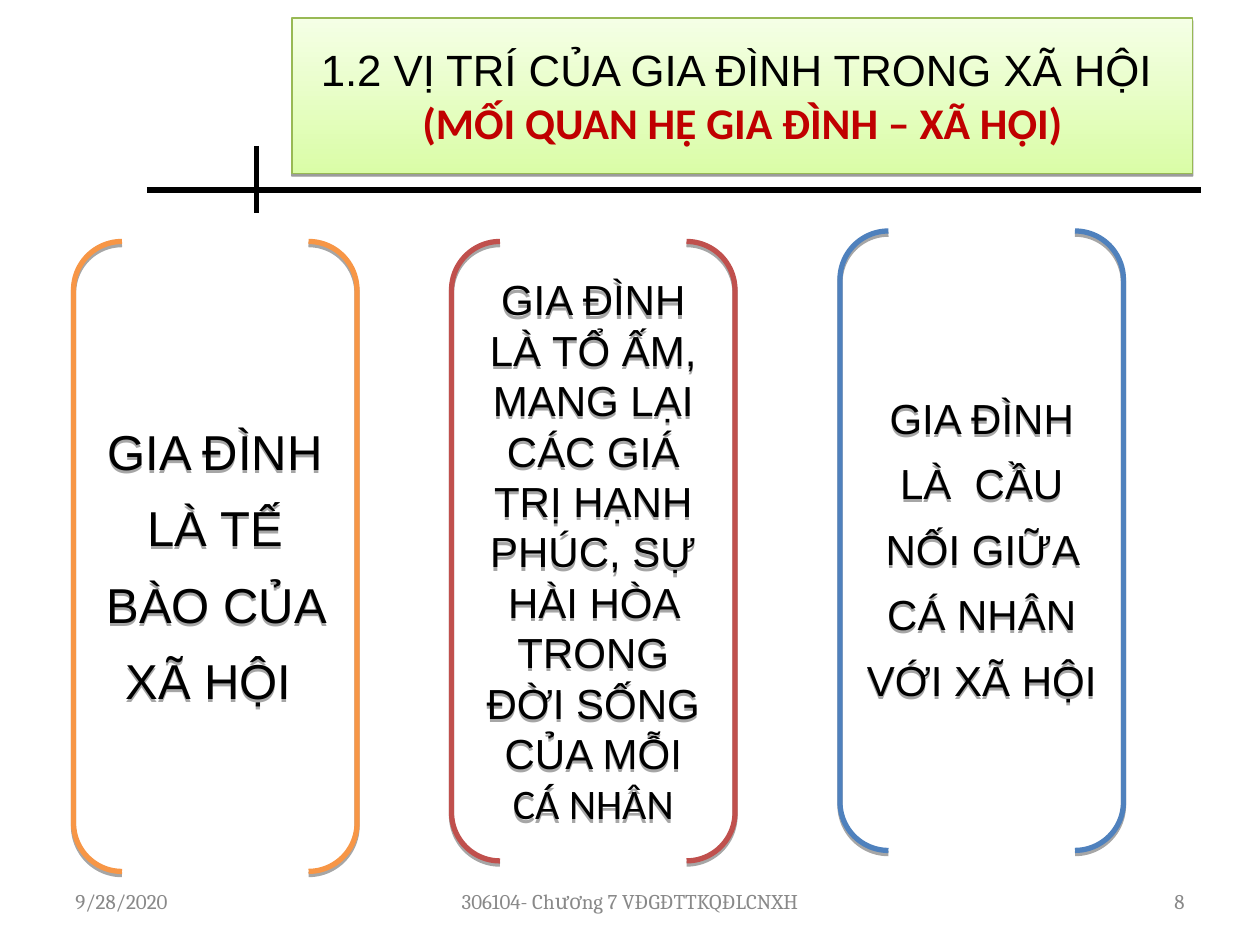
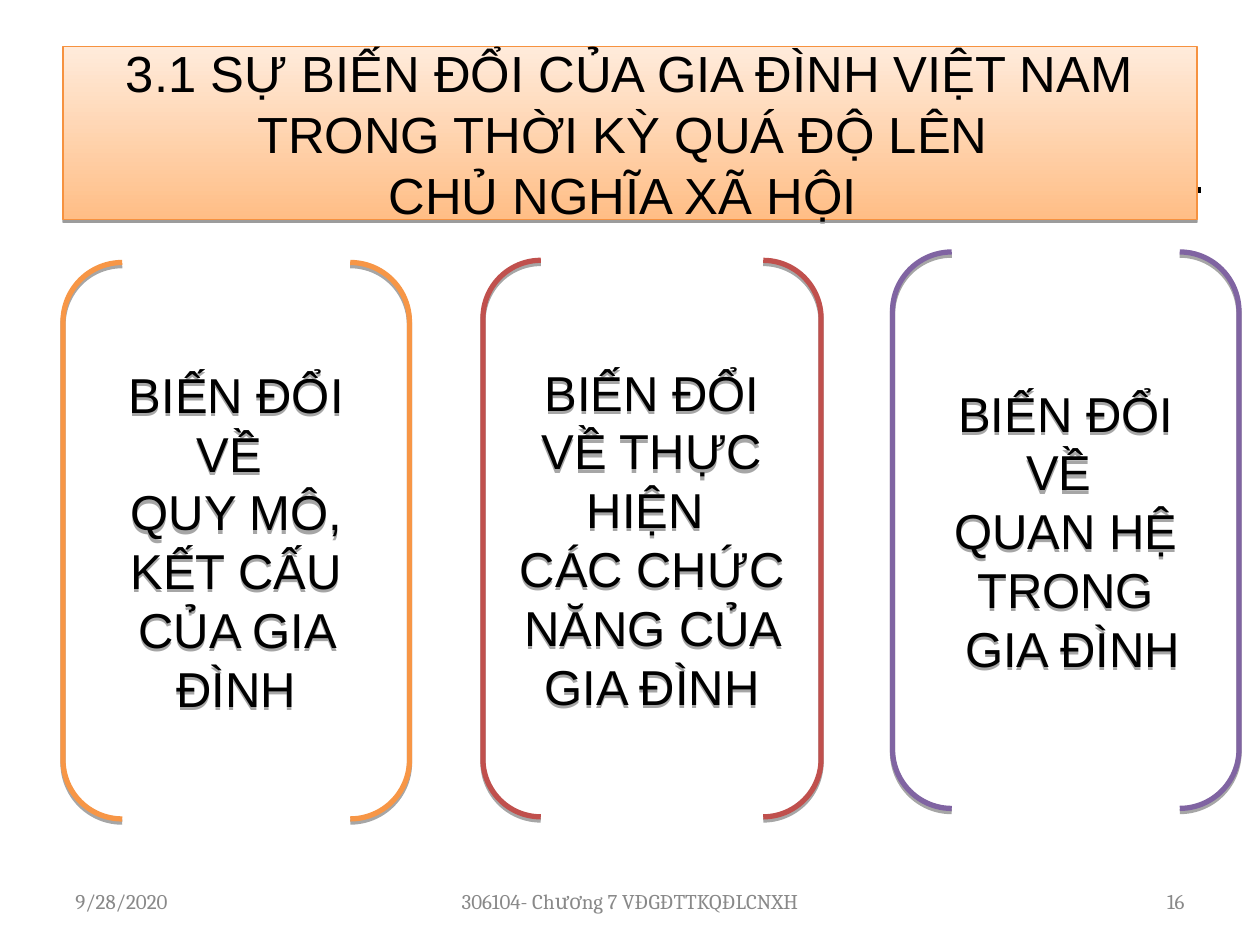
from lxml import etree
from pptx import Presentation
from pptx.dml.color import RGBColor
from pptx.enum.shapes import MSO_CONNECTOR, MSO_SHAPE
from pptx.enum.text import MSO_ANCHOR, MSO_AUTO_SIZE, PP_ALIGN
from pptx.oxml.ns import qn
from pptx.util import Inches, Pt

STRAIGHT = MSO_CONNECTOR.STRAIGHT
BRACKETS = MSO_SHAPE.DOUBLE_BRACKET
MIDDLE = MSO_ANCHOR.MIDDLE
NO_FIT = MSO_AUTO_SIZE.NONE
LEFT, CENTER, RIGHT = PP_ALIGN.LEFT, PP_ALIGN.CENTER, PP_ALIGN.RIGHT

BLACK = RGBColor(0x00, 0x00, 0x00)
GREY = RGBColor(0x89, 0x89, 0x89)
DARK_RED = RGBColor(0xC0, 0x00, 0x00)
ORANGE = RGBColor(0xF7, 0x96, 0x46)
RED = RGBColor(0xC0, 0x50, 0x4D)
BLUE = RGBColor(0x4F, 0x81, 0xBD)
PURPLE = RGBColor(0x80, 0x64, 0xA2)
# Title bands: bottom colour, top colour, border
GREEN_BAND = (RGBColor(0xDA, 0xFD, 0xA7), RGBColor(0xF5, 0xFF, 0xE6),
              RGBColor(0x98, 0xB9, 0x54))
ORANGE_BAND = (RGBColor(0xFF, 0xBE, 0x86), RGBColor(0xFF, 0xEB, 0xDB),
               RGBColor(0xF6, 0x92, 0x40))

# The 10 x 7.5 inch slide is a grid of 120 columns and 90 rows
CELLS_PER_INCH = 12
COLUMNS, ROWS = 120, 90
TITLE_ONLY = 5
FOOTER_TOP, FOOTER_HEIGHT = 83.4, 4.8
DATE = "9/28/2020"
COURSE = "306104- Chương 7 VĐGĐTTKQĐLCNXH"


def cells(count):
    return Inches(count / CELLS_PER_INCH)


def place(shape, left, top, width, height):
    shape.left, shape.top = cells(left), cells(top)
    shape.width, shape.height = cells(width), cells(height)


def add_text(paragraph, text, size=28, font="Arial", color=BLACK, bold=False,
             align=CENTER, spacing=None):
    """Add a formatted run to a paragraph."""
    paragraph.alignment = align
    if spacing:
        paragraph.line_spacing = spacing
    run = paragraph.add_run()
    run.text = text
    run.font.size = Pt(size)
    run.font.name = font
    run.font.bold = bold
    run.font.color.rgb = color


def prepare_frame(shape):
    frame = shape.text_frame
    frame.word_wrap = True
    frame.auto_size = NO_FIT
    frame.vertical_anchor = MIDDLE
    return frame


def set_shadow(shape, opacity, distance):
    """Give a shape a sharp shadow straight below it."""
    shape.shadow.inherit = False
    effects = shape._element.spPr.find(qn("a:effectLst"))
    shadow = etree.SubElement(effects, qn("a:outerShdw"), blurRad="0",
                              dist=str(Pt(distance)), dir="5400000",
                              rotWithShape="0")
    color = etree.SubElement(shadow, qn("a:srgbClr"), val=str(BLACK))
    etree.SubElement(color, qn("a:alpha"), val=str(opacity * 1000))


def add_layout_line(slide, start, end):
    """Draw a black rule and move it to the layout, behind slide content."""
    line = slide.shapes.add_connector(STRAIGHT, *map(cells, start + end))
    line.line.color.rgb = BLACK
    line.line.width = Pt(3)
    etree.SubElement(line._element.spPr, qn("a:effectLst"))
    slide.slide_layout.shapes._spTree.append(line._element)


def set_title(slide, box, band, lines):
    """Fill the title band; lines are (text, format) pairs."""
    title = slide.shapes.title
    place(title, *box)
    bottom, top, border = band
    title.fill.gradient()
    title.fill.gradient_angle = 90
    for stop, color in zip(title.fill.gradient_stops, (bottom, top)):
        stop.color.rgb = color
    for stop, position in zip(title.fill.gradient_stops, (0, 1)):
        stop.position = position
    title.line.color.rgb = border
    title.line.width = Pt(0.75)
    set_shadow(title, 38, 1.6)
    paragraph = prepare_frame(title).paragraphs[0]
    for index, (text, style) in enumerate(lines):
        if index:
            paragraph.add_line_break()
        add_text(paragraph, text, **style)


def add_bracket(slide, box, color, paragraphs, **style):
    """Add a bracket pair; each paragraph is a list of (text, font) runs."""
    bracket = slide.shapes.add_shape(BRACKETS, *map(cells, box))
    bracket.adjustments[0] = 0.171
    bracket.fill.background()
    bracket.line.color.rgb = color
    bracket.line.width = Pt(3)
    set_shadow(bracket, 35, 1.8)
    frame = prepare_frame(bracket)
    for index, runs in enumerate(paragraphs):
        paragraph = frame.add_paragraph() if index else frame.paragraphs[0]
        for text, font in runs:
            add_text(paragraph, text, font=font, **style)


def add_footers(slide, number):
    for text, left, width, align in ((DATE, 6, 28, LEFT),
                                     (COURSE, 41, 38, CENTER),
                                     (number, 86, 28, RIGHT)):
        box = slide.shapes.add_textbox(cells(left), cells(FOOTER_TOP),
                                       cells(width), cells(FOOTER_HEIGHT))
        add_text(prepare_frame(box).paragraphs[0], text, size=12,
                 font="Cambria", color=GREY, align=align)


def build_position_slide(slide):
    set_title(slide, (27.8, 1.7, 85.8, 14.8), GREEN_BAND, [
        ("1.2 VỊ TRÍ CỦA GIA ĐÌNH TRONG XÃ HỘI ", {"size": 25}),
        ("(MỐI QUAN HỆ GIA ĐÌNH – XÃ HỘI)",
         {"size": 25, "font": "Calibri", "color": DARK_RED, "bold": True}),
    ])
    add_bracket(slide, (7, 23, 27, 60), ORANGE,
                [[("GIA ĐÌNH LÀ TẾ BÀO CỦA XÃ HỘI ", "Arial")]], spacing=1.3)
    add_bracket(slide, (43, 23, 27, 59), RED,
                [[("GIA ĐÌNH LÀ TỔ ẤM, MANG LẠI CÁC GIÁ TRỊ HẠNH PHÚC, "
                   "SỰ HÀI HÒA TRONG ĐỜI SỐNG CỦA MỖI ", "Arial"),
                  ("CÁ NHÂN", "Calibri")]], size=24)
    add_bracket(slide, (80, 22, 27, 59), BLUE,
                [[("GIA ĐÌNH LÀ  CẦU NỐI GIỮA CÁ NHÂN VỚI XÃ HỘI ", "Arial")]],
                size=24, spacing=1.3)
    add_footers(slide, "8")


def build_change_slide(slide):
    set_title(slide, (6, 4.4, 108, 16.5), ORANGE_BAND, [
        ("3.1 SỰ BIẾN ĐỔI CỦA GIA ĐÌNH VIỆT NAM TRONG THỜI KỲ QUÁ ĐỘ LÊN ",
         {"size": 29}),
        ("CHỦ NGHĨA XÃ HỘI ", {"size": 29}),
    ])
    changes = (
        ((6, 25, 33, 53), ORANGE,
         ("BIẾN ĐỔI VỀ ", "QUY MÔ, KẾT CẤU CỦA GIA ĐÌNH")),
        ((46, 24.8, 32.2, 53), RED,
         ("BIẾN ĐỔI VỀ THỰC HIỆN ", "CÁC CHỨC NĂNG CỦA GIA ĐÌNH")),
        ((85, 24, 33, 53), PURPLE,
         ("BIẾN ĐỔI VỀ ", "QUAN HỆ TRONG", " GIA ĐÌNH")),
    )
    for box, color, texts in changes:
        add_bracket(slide, box, color, [[(text, "Arial")] for text in texts])
    add_footers(slide, "16")


def main():
    presentation = Presentation()
    presentation.slide_width = cells(COLUMNS)
    presentation.slide_height = cells(ROWS)
    layout = presentation.slide_layouts[TITLE_ONLY]
    position_slide = presentation.slides.add_slide(layout)
    change_slide = presentation.slides.add_slide(layout)

    # Crossed rules shared by both slides
    add_layout_line(position_slide, (14, 18.1), (114.4, 18.1))
    add_layout_line(position_slide, (24.4, 13.9), (24.4, 20.3))

    build_position_slide(position_slide)
    build_change_slide(change_slide)
    presentation.save("out.pptx")


if __name__ == "__main__":
    main()
